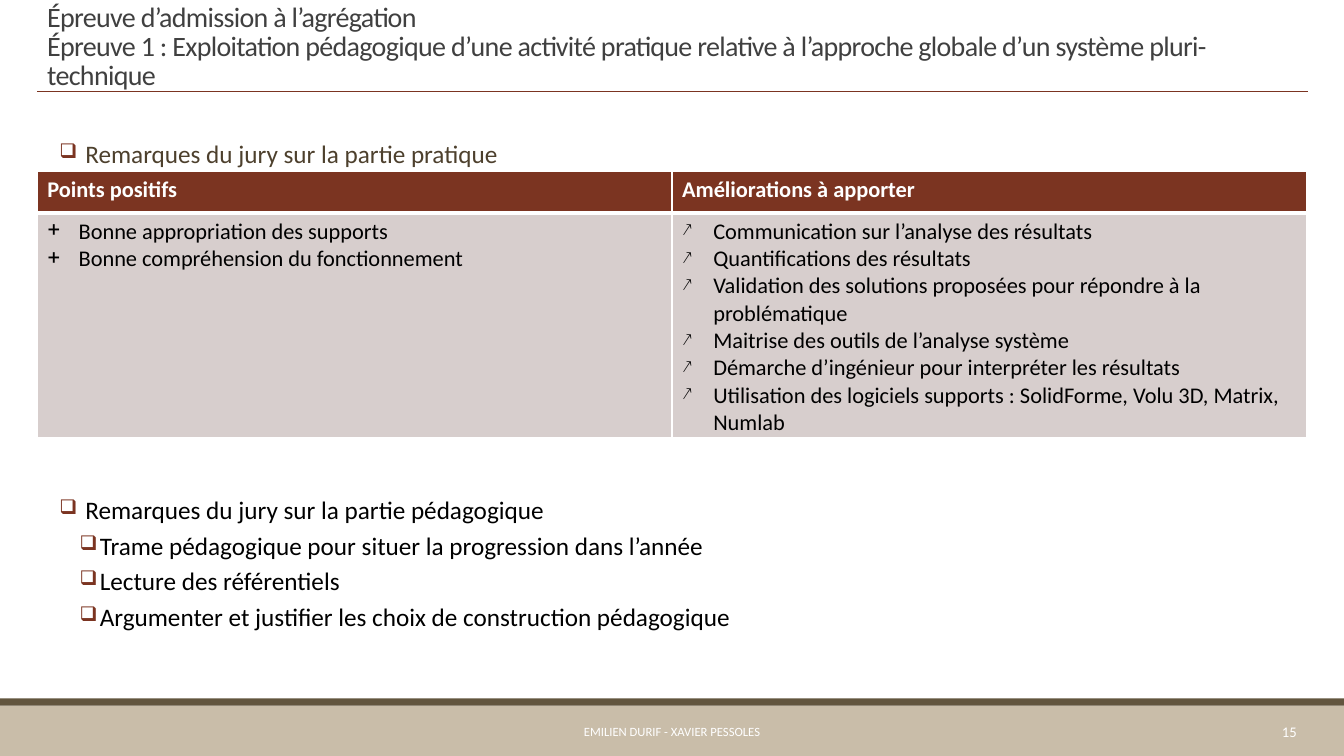
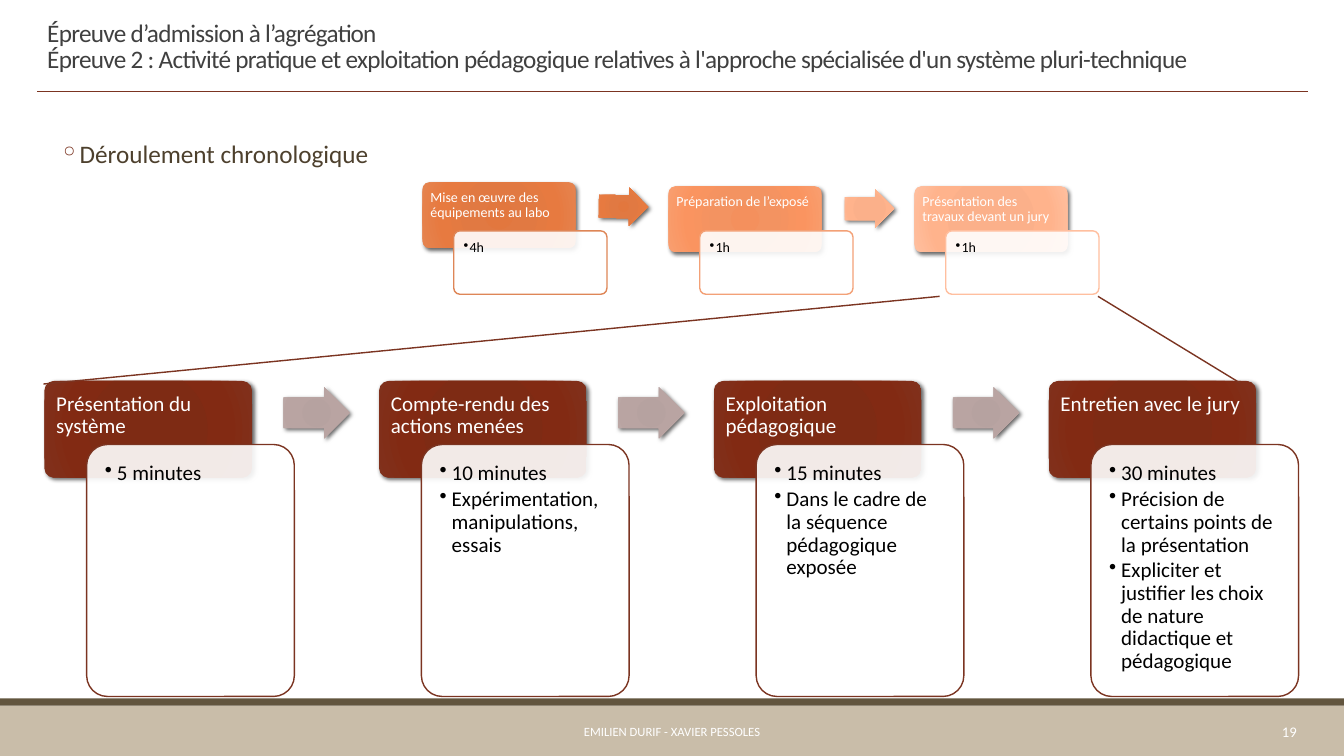
from dataclasses import dataclass

from lxml.etree import SubElement
from pptx import Presentation
from pptx.dml.color import RGBColor
from pptx.enum.shapes import MSO_CONNECTOR, MSO_SHAPE
from pptx.enum.text import MSO_ANCHOR, PP_ALIGN
from pptx.oxml import parse_xml
from pptx.oxml.ns import nsdecls, qn
from pptx.util import Inches, Pt

FONT = "Calibri"
BRICK, TAN, BROWN = "7B3421", "C9BDA9", "62553E"
TITLE, HEADING, BLACK, WHITE = "404040", "4D402D", "000000", "FFFFFF"
CELL = "D7CECD"
ORANGE = ("E2773E", "E17942", "E77A40", "E58450")
APRICOT = ("F4905D", "F39361", "FA9460", "F99F70")
PEACH = ("FBAD87", "FBB08A", "FFB38C", "FFBF9F")
RUST = ("7F2912", "7E2B14", "822A13", "80311C")
MAUVE = ("B4A09E", "B6A2A0", "B9A4A2", "C0ADAB")
GRADIENT_STOPS = (0, 34, 70, 100)


@dataclass
class Bullet:
    char: str
    left: float
    hang: float
    size: int = 100
    color: str = BLACK


@dataclass
class Item:
    text: str
    bullet: Bullet
    color: str = BLACK


@dataclass
class Step:
    title: str
    details: list[str]
    grad: tuple
    outline: str
    arrow: tuple = ()
    lift: float = 0
    tilt: float = 0


@dataclass
class Flow:
    """Sizes of a row of steps; boxes are (dx, top, width, height)."""
    left: float
    pitch: float
    card: tuple
    detail: tuple
    arrow: tuple
    size: float
    pad: float
    corner: float
    hang: float
    steps: list[Step]


SQUARE = Bullet("❑", 0.42, 0.2, 80, BRICK)
SUB_SQUARE = Bullet("❑", 0.62, 0.2, 80, BRICK)
RING = Bullet("◦", 0.42, 0.2, 100, BRICK)
PLUS = Bullet("+", 0.31, 0.31)
RISE = Bullet("↗", 0.31, 0.31, 80)


def rgb(color: str) -> RGBColor:
    return RGBColor.from_string(color)


def add_run(p, text: str, size: float, color: str, bold: bool = False):
    r = p.add_run()
    r.text = text
    f = r.font
    f.name, f.size, f.bold = FONT, Pt(size), bold
    f.color.rgb = rgb(color)
    return r


def space(p, line: float, before: float = 0, after: float = 0) -> None:
    p.line_spacing = line
    p.space_before, p.space_after = Pt(before), Pt(after)


def set_bullet(p, bullet: Bullet) -> None:
    pPr = p._p.get_or_add_pPr()
    pPr.set("marL", str(Inches(bullet.left)))
    pPr.set("indent", str(-Inches(bullet.hang)))
    clr = SubElement(pPr, qn("a:buClr"))
    SubElement(clr, qn("a:srgbClr"), val=bullet.color)
    SubElement(pPr, qn("a:buSzPct"), val=str(bullet.size * 1000))
    SubElement(pPr, qn("a:buChar"), char=bullet.char)


def add_items(tf, items: list[Item], size: float, line: float = 1,
              before: float = 0, after: float = 0) -> None:
    for i, item in enumerate(items):
        p = tf.add_paragraph() if i else tf.paragraphs[0]
        p.alignment = PP_ALIGN.LEFT
        space(p, line, before, after)
        set_bullet(p, item.bullet)
        add_run(p, item.text, size, item.color)


def set_margins(tf, left: float, top: float, right: float, bottom: float) -> None:
    tf.margin_left, tf.margin_top = Inches(left), Inches(top)
    tf.margin_right, tf.margin_bottom = Inches(right), Inches(bottom)


def add_text_frame(s, box: tuple, anchor=MSO_ANCHOR.MIDDLE):
    tf = s.shapes.add_textbox(*map(Inches, box)).text_frame
    tf.word_wrap = True
    tf.vertical_anchor = anchor
    return tf


def add_body(s, top: float, height: float, items: list[Item]) -> None:
    tf = add_text_frame(s, (0.37, top, 12.44, height), MSO_ANCHOR.TOP)
    set_margins(tf, 0, 0.05, 0, 0.05)
    add_items(tf, items, 18, 0.9, 2, 4)


def add_plain_shape(s, kind, box: tuple):
    sp = s.shapes.add_shape(kind, *map(Inches, box))
    sp.shadow.inherit = False
    sp.line.fill.background()
    return sp


def add_line(s, start: tuple, end: tuple, width: float) -> None:
    cx = s.shapes.add_connector(MSO_CONNECTOR.STRAIGHT, *map(Inches, start + end))
    cx.line.color.rgb = rgb(BRICK)
    cx.line.width = Pt(width)
    SubElement(cx.element.spPr, qn("a:effectLst"))


def add_frame(s, title: list[str], title_size: float, number: int) -> None:
    """Footer bands, rule, title, authors and slide number."""
    for box, color in (((0, 7, 13.33, 0.5), TAN), ((0, 6.93, 13.33, 0.07), BROWN)):
        band = add_plain_shape(s, MSO_SHAPE.RECTANGLE, box)
        band.fill.solid()
        band.fill.fore_color.rgb = rgb(color)
    add_line(s, (0.37, 0.91), (12.97, 0.91), 0.5)
    p = add_text_frame(s, (0.37, 0.04, 12.59, 0.87)).paragraphs[0]
    space(p, 0.85)
    for i, text in enumerate(title):
        if i:
            p.add_line_break()
        r = add_run(p, text, title_size, TITLE)
        r.font._element.set("spc", "-50")
    for box, text, size, align in (
            ((2.73, 7.06, 7.87, 0.4), "EMILIEN DURIF - XAVIER PESSOLES", 9, PP_ALIGN.CENTER),
            ((11.39, 7.06, 1.57, 0.4), str(number), 10.5, PP_ALIGN.RIGHT)):
        p = add_text_frame(s, box).paragraphs[0]
        p.alignment = align
        add_run(p, text, size, WHITE)


def set_cell(cell, color: str, top: float, bottom: float) -> None:
    """Fill and white borders; top and bottom are border widths in points."""
    cell.fill.solid()
    cell.fill.fore_color.rgb = rgb(color)
    tcPr = cell._tc.get_or_add_tcPr()
    for i, (side, width) in enumerate(zip("LRTB", (1, 1, top, bottom))):
        tcPr.insert(i, parse_xml(
            f'<a:ln{side} {nsdecls("a")} w="{Pt(width)}"><a:solidFill>'
            f'<a:srgbClr val="{WHITE}"/></a:solidFill></a:ln{side}>'))


def add_review_table(s, columns: dict[str, list[Item]]) -> None:
    box = map(Inches, (0.37, 1.7, 12.59, 2.64))
    table = s.shapes.add_table(2, len(columns), *box).table
    table.horz_banding = False
    table.rows[0].height, table.rows[1].height = Inches(0.41), Inches(2.23)
    for i, (head, items) in enumerate(columns.items()):
        top, body = table.cell(0, i), table.cell(1, i)
        set_cell(top, BRICK, 1, 3)
        set_cell(body, CELL, 3, 1)
        add_run(top.text_frame.paragraphs[0], head, 16, WHITE, True)
        add_items(body.text_frame, items, 16)


def add_glossy(s, kind, box: tuple, grad: tuple):
    """Shape with a radial gradient and a soft shadow."""
    sp = add_plain_shape(s, kind, box)
    sp.fill.background()
    spPr = sp.element.spPr
    stops = "".join(f'<a:gs pos="{pos * 1000}"><a:srgbClr val="{color}"/></a:gs>'
                    for pos, color in zip(GRADIENT_STOPS, grad))
    spPr.replace(spPr.find(qn("a:noFill")), parse_xml(
        f'<a:gradFill {nsdecls("a")} rotWithShape="1"><a:gsLst>{stops}</a:gsLst>'
        '<a:path path="circle"><a:fillToRect l="100000" t="100000" r="100000" '
        'b="100000"/></a:path></a:gradFill>'))
    spPr.find(qn("a:effectLst")).append(parse_xml(
        f'<a:outerShdw {nsdecls("a")} blurRad="{Pt(3)}" dist="{Pt(2)}" dir="2700000" '
        f'rotWithShape="0"><a:srgbClr val="{BLACK}"><a:alpha val="60000"/>'
        '</a:srgbClr></a:outerShdw>'))
    return sp


def add_step(s, flow: Flow, step: Step, x: float) -> None:
    dx, y, w, h = flow.card
    card = add_glossy(s, MSO_SHAPE.ROUNDED_RECTANGLE, (x + dx, y - step.lift, w, h), step.grad)
    dx, y, w, h = flow.detail
    detail = add_plain_shape(s, MSO_SHAPE.ROUNDED_RECTANGLE, (x + dx, y, w, h))
    detail.fill.solid()
    detail.fill.fore_color.rgb = rgb(WHITE)
    SubElement(detail.element.spPr.find(qn("a:solidFill"))[0], qn("a:alpha"), val="90000")
    detail.line.color.rgb = rgb(step.outline)
    detail.line.width = Pt(1)
    for sp, pad in ((card, flow.pad - flow.corner), (detail, flow.pad)):
        sp.adjustments[0] = 0.1
        sp.text_frame.word_wrap = True
        sp.text_frame.vertical_anchor = MSO_ANCHOR.TOP
        set_margins(sp.text_frame, pad, pad, pad, pad / 2)
    p = card.text_frame.paragraphs[0]
    p.alignment = PP_ALIGN.LEFT
    space(p, 0.9)
    add_run(p, step.title, flow.size, WHITE)
    dot = Bullet("•", flow.hang, flow.hang)
    add_items(detail.text_frame, [Item(text, dot) for text in step.details],
              flow.size, 0.9, 0, flow.size * 0.15)
    if step.arrow:
        dx, y, w, h = flow.arrow
        arrow = add_glossy(s, MSO_SHAPE.RIGHT_ARROW, (x + dx, y - step.lift / 2, w, h), step.arrow)
        arrow.adjustments[0], arrow.adjustments[1] = 0.6, 0.5
        arrow.rotation = step.tilt


def add_flow(s, flow: Flow) -> None:
    for i, step in enumerate(flow.steps):
        add_step(s, flow, step, flow.left + i * flow.pitch)


EXAM_DAY = Flow(
    4.19, 2.44, (0, 1.85, 1.52, 0.65), (0.31, 2.29, 1.52, 0.63), (1.75, 1.88, 0.49, 0.38),
    10, 0.08, 0.02, 0.06, [
        Step("Mise en œuvre des équipements au labo", ["4h"], ORANGE, "DE8657", ORANGE, 0.04, 0.9),
        Step("Préparation de l’exposé", ["1h"], APRICOT, "F3A177", PEACH),
        Step("Présentation des travaux devant un jury", ["1h"], PEACH, "FFBF9F"),
    ])
JURY_HOUR = Flow(
    0.44, 3.32, (0, 3.78, 2.06, 0.96), (0.42, 4.41, 2.06, 2.5), (2.37, 3.84, 0.66, 0.51),
    15, 0.12, 0.03, 0.12, [
        Step("Présentation du système", ["5 minutes"], RUST, BRICK, MAUVE),
        Step("Compte-rendu des actions menées",
             ["10 minutes", "Expérimentation, manipulations, essais"], RUST, BRICK, MAUVE),
        Step("Exploitation pédagogique",
             ["15 minutes", "Dans le cadre de la séquence pédagogique exposée"],
             RUST, BRICK, MAUVE),
        Step("Entretien avec le jury",
             ["30 minutes", "Précision de certains points de la présentation",
              "Expliciter et justifier les choix de nature didactique et pédagogique"],
             RUST, BRICK),
    ])
STRENGTHS = ["Bonne appropriation des supports", "Bonne compréhension du fonctionnement"]
IMPROVEMENTS = [
    "Communication sur l’analyse des résultats",
    "Quantifications des résultats",
    "Validation des solutions proposées pour répondre à la problématique",
    "Maitrise des outils de l’analyse système",
    "Démarche d’ingénieur pour interpréter les résultats",
    "Utilisation des logiciels supports : SolidForme, Volu 3D, Matrix, Numlab",
]
TEACHING = [
    "Trame pédagogique pour situer la progression dans l’année",
    "Lecture des référentiels",
    "Argumenter et justifier les choix de construction pédagogique",
]
EXAM = "Épreuve d’admission à l’agrégation"


def build_remarks(s) -> None:
    add_frame(s, [EXAM, "Épreuve 1 : Exploitation pédagogique d’une activité pratique relative "
                  "à l’approche globale d’un système pluri-technique"], 20, 15)
    add_body(s, 1.36, 0.4, [Item(" Remarques du jury sur la partie pratique", SQUARE, HEADING)])
    add_review_table(s, {
        "Points positifs": [Item(text, PLUS) for text in STRENGTHS],
        "Améliorations à apporter": [Item(text, RISE) for text in IMPROVEMENTS],
    })
    add_body(s, 4.89, 1.6, [Item(" Remarques du jury sur la partie pédagogique", SQUARE)]
             + [Item(text, SUB_SQUARE) for text in TEACHING])


def build_schedule(s) -> None:
    add_frame(s, [EXAM, "Épreuve 2 : Activité pratique et exploitation pédagogique relatives "
                  "à l'approche spécialisée d'un système pluri-technique"], 18, 19)
    add_body(s, 1.36, 0.4, [Item("Déroulement chronologique", RING, HEADING)])
    add_flow(s, EXAM_DAY)
    add_flow(s, JURY_HOUR)
    add_line(s, (9.32, 2.94), (0.43, 3.81), 1)
    add_line(s, (10.89, 2.94), (12.3, 3.8), 1)


def main() -> None:
    prs = Presentation()
    prs.slide_width, prs.slide_height = Inches(13.33), Inches(7.5)
    for build in (build_remarks, build_schedule):
        build(prs.slides.add_slide(prs.slide_layouts[6]))
    prs.save("out.pptx")


if __name__ == "__main__":
    main()
